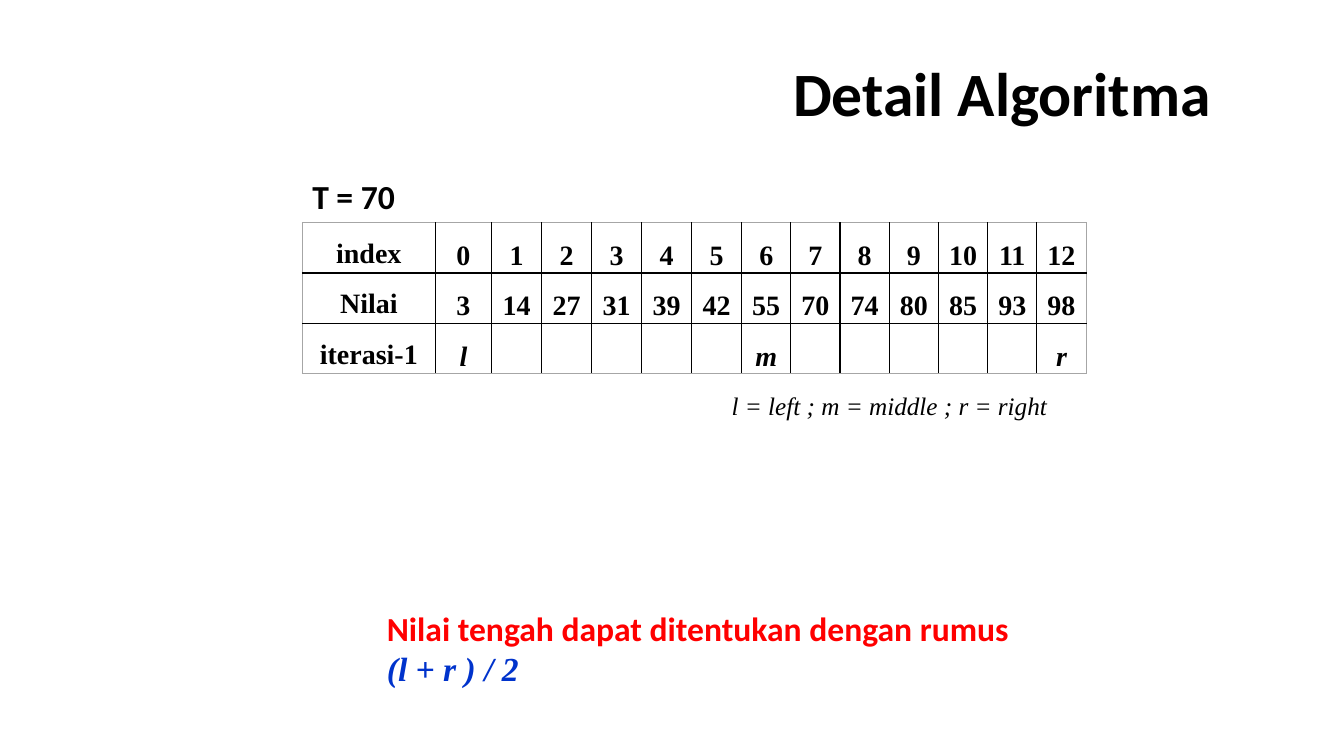
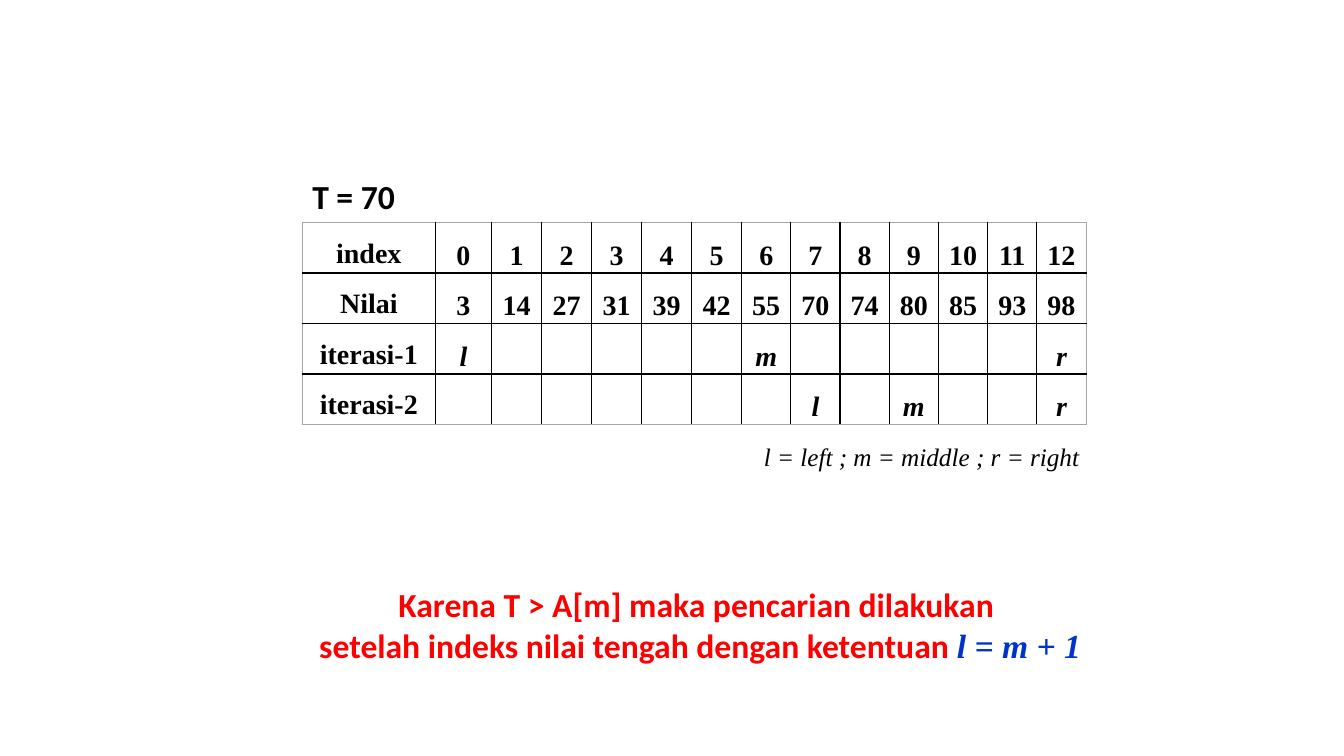
import dataclasses

import lxml.etree
import pptx
import pptx.dml.color
import pptx.enum.text
import pptx.oxml.ns
import pptx.util

Cm = pptx.util.Cm
Pt = pptx.util.Pt
ALIGN = pptx.enum.text.PP_ALIGN
ANCHOR = pptx.enum.text.MSO_ANCHOR


@dataclasses.dataclass(frozen=True)
class Theme:
    heading_font: str = "Calibri"
    formula_font: str = "Times New Roman"
    black: str = "000000"
    red: str = "FF0000"
    blue: str = "0033CC"
    outer_line: str = "A6A6A6"
    title_size: int = 44
    body_size: int = 24
    cell_size: int = 20
    legend_size: int = 18


THEME = Theme()

# Table data: row label, then one entry per index
VALUES = [3, 14, 27, 31, 39, 42, 55, 70, 74, 80, 85, 93, 98]
ITERATIONS = [{0: "l", 6: "m", 12: "r"}, {7: "l", 9: "m", 12: "r"}]

# Table geometry in centimetres
TABLE_LEFT, TABLE_TOP, ROW_HEIGHT = 7.62, 5.61, 1.27
COLUMN_WIDTHS = [3.35, 1.42] + [1.26] * 5 + [1.24] * 7


def add_run(paragraph, text, *, size, font=THEME.heading_font,
            color=THEME.black, bold=True, italic=False):
    run = paragraph.add_run()
    run.text = text
    run.font.name = font
    run.font.size = Pt(size)
    run.font.bold = bold
    run.font.italic = italic
    run.font.color.rgb = pptx.dml.color.RGBColor.from_string(color)


def add_text(slide, box, paragraphs, *, align=ALIGN.LEFT, anchor=ANCHOR.TOP,
             wrap=True, line_spacing=1.0):
    """Each paragraph is a list of (text, format) runs; box is in centimetres."""
    frame = slide.shapes.add_textbox(*map(Cm, box)).text_frame
    frame.word_wrap = wrap
    frame.vertical_anchor = anchor
    for number, runs in enumerate(paragraphs):
        paragraph = frame.add_paragraph() if number else frame.paragraphs[0]
        paragraph.alignment = align
        paragraph.line_spacing = line_spacing
        for text, text_format in runs:
            add_run(paragraph, text, **text_format)


def add_border(cell, side, color, width):
    properties = cell._tc.get_or_add_tcPr()
    qn = pptx.oxml.ns.qn
    line = lxml.etree.SubElement(properties, qn(f"a:ln{side}"), w=str(Pt(width)))
    fill = lxml.etree.SubElement(line, qn("a:solidFill"))
    lxml.etree.SubElement(fill, qn("a:srgbClr"), val=color)


def format_cell(cell, text, *, is_label, italic, outer_sides):
    for side in "LRTB":
        if side in outer_sides:
            add_border(cell, side, THEME.outer_line, 0.75)
        else:
            add_border(cell, side, THEME.black, 1)
    cell.fill.background()
    cell.margin_left = cell.margin_right = Cm(0.18)
    cell.margin_top = cell.margin_bottom = 0
    cell.vertical_anchor = ANCHOR.TOP if is_label else ANCHOR.MIDDLE
    if text:
        paragraph = cell.text_frame.paragraphs[0]
        paragraph.alignment = ALIGN.CENTER
        paragraph.line_spacing = 1.5
        add_run(paragraph, text, size=THEME.cell_size, font=THEME.formula_font,
                italic=italic)


def add_search_table(slide, left, top, iteration_count):
    """Table of indexes, values and pointers; returns its bottom edge."""
    indexes = range(len(VALUES))
    rows = [["index", *map(str, indexes)], ["Nilai", *map(str, VALUES)]]
    for number, pointers in enumerate(ITERATIONS[:iteration_count], 1):
        rows.append([f"iterasi-{number}",
                     *(pointers.get(index, "") for index in indexes)])
    height = ROW_HEIGHT * len(rows)
    table = slide.shapes.add_table(
        len(rows), len(COLUMN_WIDTHS), Cm(left), Cm(top),
        Cm(sum(COLUMN_WIDTHS)), Cm(height)).table
    table.first_row = table.horz_banding = False
    for column, width in zip(table.columns, COLUMN_WIDTHS):
        column.width = Cm(width)
    last_row, last_column = len(rows) - 1, len(COLUMN_WIDTHS) - 1
    for r, row in enumerate(rows):
        table.rows[r].height = Cm(ROW_HEIGHT)
        for c, text in enumerate(row):
            edges = {"L": c == 0, "R": c == last_column,
                     "T": r == 0, "B": r == last_row}
            format_cell(table.cell(r, c), text, is_label=c == 0,
                        italic=r > 1 and c > 0,
                        outer_sides=[side for side, outer in edges.items() if outer])
    return top + height


def add_search_step(slide, left, top, iteration_count, legend_offset):
    """Target above the table, the table, and the legend below it."""
    bottom = add_search_table(slide, left, top, iteration_count)
    add_text(slide, (left + legend_offset, bottom + 0.3, 11.33, 1.02),
             [[("l = left ; m = middle ; r = right",
                dict(size=THEME.legend_size, font=THEME.formula_font,
                     bold=False, italic=True))]])
    add_text(slide, (left, top - 1.29, 2.64, 1.27),
             [[("T = 70", dict(size=THEME.body_size))]], wrap=False)


def add_title(slide, box, text):
    add_text(slide, box, [[(text, dict(size=THEME.title_size))]],
             anchor=ANCHOR.MIDDLE, line_spacing=0.9)


def main():
    presentation = pptx.Presentation()
    presentation.slide_width, presentation.slide_height = Cm(33.87), Cm(19.05)
    blank = presentation.slide_layouts[6]
    statement = dict(size=THEME.body_size, color=THEME.red)
    formula = dict(size=THEME.body_size, font=THEME.formula_font,
                   color=THEME.blue, italic=True)

    # First iteration: how the middle is found
    slide = presentation.slides.add_slide(blank)
    add_title(slide, (19.74, 0, 14.13, 4.88), "Detail Algoritma")
    add_search_step(slide, TABLE_LEFT, TABLE_TOP, 1, legend_offset=10.57)
    add_text(slide, (9.5, 15.19, 16.33, 2.31),
             [[("Nilai tengah dapat ditentukan dengan rumus", statement)],
              [("(l + r ) / 2", formula)]], wrap=False)

    # Second iteration: the search moves right of the middle
    slide = presentation.slides.add_slide(blank)
    add_search_step(slide, TABLE_LEFT, TABLE_TOP, 2, legend_offset=11.38)
    add_text(slide, (7.7, 14.6, 19.89, 2.31),
             [[("Karena T > A[m] maka pencarian dilakukan ", statement)],
              [("setelah indeks nilai tengah dengan ketentuan ", statement),
               ("l = m + 1", formula)]], align=ALIGN.CENTER, wrap=False)

    presentation.save("out.pptx")


if __name__ == "__main__":
    main()
